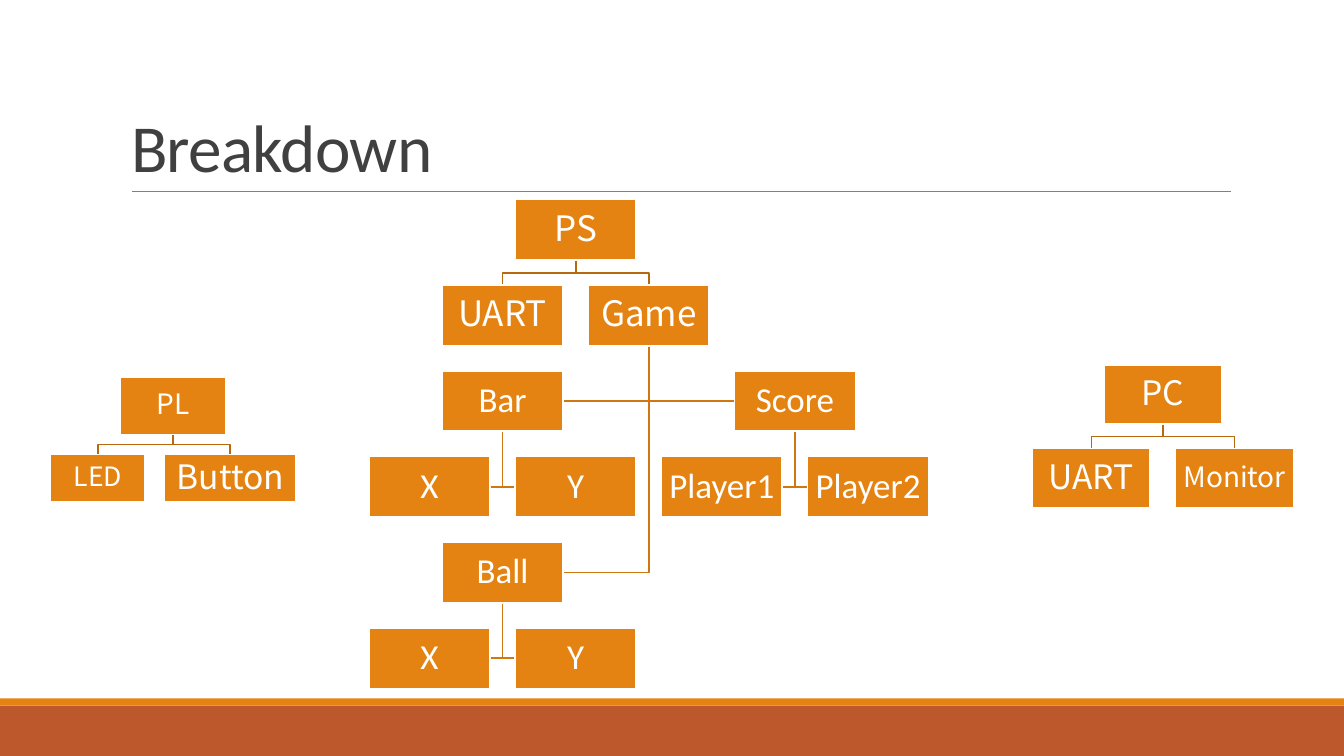
"""Build the "Breakdown" slide with its three component trees."""
import pptx
import pptx.dml.color
import pptx.enum.shapes
import pptx.enum.text
import pptx.util

Inches = pptx.util.Inches
Pt = pptx.util.Pt
RGBColor = pptx.dml.color.RGBColor

ORANGE = RGBColor(0xE4, 0x83, 0x12)
RUST = RGBColor(0xBD, 0x58, 0x2C)
WHITE = RGBColor(0xFF, 0xFF, 0xFF)
GREY = RGBColor(0x80, 0x80, 0x80)
TITLE_GREY = RGBColor(0x40, 0x40, 0x40)
BRANCH = RGBColor(0xB7, 0x69, 0x0E)
SUB_BRANCH = RGBColor(0xCF, 0x77, 0x10)

CALIBRI = "Calibri"
NOTO = "Noto Sans CJK SC"

PS_LEFT, PS_TOP = 3.66, 1.98
BOX_W, BOX_H = 1.2, 0.6
COL_STEP = (BOX_W + 0.25) / 2
ROW_STEP = BOX_H + 0.25


def add_rect(slide, box, fill):
    """Add a filled rectangle without outline or shadow."""
    sp = slide.shapes.add_shape(
        pptx.enum.shapes.MSO_SHAPE.RECTANGLE, *[Inches(v) for v in box])
    sp.shadow.inherit = False
    sp.fill.solid()
    sp.fill.fore_color.rgb = fill
    sp.line.fill.background()
    return sp


def add_rule(slide, x1, x2, y):
    """Add the thin line under the title."""
    line = slide.shapes.add_connector(
        pptx.enum.shapes.MSO_CONNECTOR.STRAIGHT,
        Inches(x1), Inches(y), Inches(x2), Inches(y))
    line.line.color.rgb = GREY
    line.line.width = Pt(0.5)
    pptx.oxml.xmlchemy.OxmlElement
    sp_pr = line._element.spPr
    sp_pr.append(pptx.oxml.xmlchemy.OxmlElement("a:effectLst"))


def set_title(slide, text):
    """Place and format the title placeholder."""
    sp = slide.shapes.title
    sp.left, sp.top = Inches(1.2), Inches(0.31)
    sp.width, sp.height = Inches(11), Inches(1.59)
    tf = sp.text_frame
    tf.text = text
    tf.auto_size = pptx.enum.text.MSO_AUTO_SIZE.NONE
    tf.vertical_anchor = pptx.enum.text.MSO_ANCHOR.BOTTOM
    p = tf.paragraphs[0]
    p.alignment = pptx.enum.text.PP_ALIGN.LEFT
    p.line_spacing = 0.85
    r = p.runs[0]
    r.font.name, r.font.size = CALIBRI, Pt(48)
    r.font.color.rgb = TITLE_GREY
    r.font._element.set("spc", "-50")


def add_node(slide, box, text, size, font):
    """Add a labelled tree box."""
    sp = add_rect(slide, box, ORANGE)
    sp.line.color.rgb = WHITE
    sp.line.width = Pt(1.25)
    tf = sp.text_frame
    tf.text = text
    tf.word_wrap = True
    tf.vertical_anchor = pptx.enum.text.MSO_ANCHOR.MIDDLE
    tf.margin_left = tf.margin_right = Inches(0.02)
    tf.margin_top = tf.margin_bottom = Inches(0.02)
    p = tf.paragraphs[0]
    p.alignment = pptx.enum.text.PP_ALIGN.CENTER
    p.line_spacing = 0.9
    r = p.runs[0]
    r.font.name, r.font.size = font, Pt(size)
    r.font.color.rgb = WHITE


def add_path(slide, points, color):
    """Add an open line through the given points."""
    start, *rest = [(Inches(x), Inches(y)) for x, y in points]
    builder = slide.shapes.build_freeform(*start)
    builder.add_line_segments(rest, close=False)
    sp = builder.convert_to_shape()
    sp.shadow.inherit = False
    sp.fill.background()
    sp.line.color.rgb = color
    sp.line.width = Pt(1.25)


def add_fork(slide, parent, child):
    """Link a parent's bottom to a child's top."""
    x1, y1 = parent[0] + parent[2] / 2, parent[1] + parent[3]
    x2, y2 = child[0] + child[2] / 2, child[1]
    mid = (y1 + y2) / 2
    add_path(slide, [(x1, y1), (x1, mid), (x2, mid), (x2, y2)], BRANCH)


def add_hook(slide, parent, child):
    """Link a parent's bottom to the near side of a child."""
    x1, y1 = parent[0] + parent[2] / 2, parent[1] + parent[3]
    x2, y2 = child[0], child[1] + child[3] / 2
    if x2 < x1:
        x2 += child[2]
    add_path(slide, [(x1, y1), (x1, y2), (x2, y2)], SUB_BRANCH)


def add_tree(slide, nodes, forks, hooks=()):
    """Draw the links of a tree, then its boxes."""
    for add_link, links in ((add_hook, hooks), (add_fork, forks)):
        for parent, child in links:
            add_link(slide, nodes[parent][0], nodes[child][0])
    for box, text, size, font in nodes:
        add_node(slide, box, text, size, font)


def ps_node(col, row, text, font=CALIBRI):
    """Return a box of the PS tree from its grid place."""
    box = (PS_LEFT + col * COL_STEP, PS_TOP + row * ROW_STEP, BOX_W, BOX_H)
    return box, text, 25, font


def main():
    """Build and save the slide."""
    prs = pptx.Presentation()
    prs.slide_width, prs.slide_height = Inches(13.33), Inches(7.5)
    slide = prs.slides.add_slide(prs.slide_layouts[5])
    add_rect(slide, (0, 7, 13.33, 0.5), RUST)
    add_rect(slide, (0, 6.93, 13.33, 0.07), ORANGE)
    add_rule(slide, 1.31, 12.21, 1.9)
    set_title(slide, "Breakdown")

    two_children = [(0, 1), (0, 2)]
    add_tree(slide, [
        ((1.19, 3.74, 1.05, 0.57), "PL", 20, NOTO),
        ((0.5, 4.51, 0.94, 0.47), "LED", 19, NOTO),
        ((1.63, 4.51, 1.31, 0.47), "Button", 24, NOTO),
    ], two_children)
    add_tree(slide, [
        ps_node(2, 0, "PS", NOTO),
        ps_node(1, 1, "UART", NOTO),
        ps_node(3, 1, "Game", NOTO),
        ps_node(1, 2, "Bar"),
        ps_node(0, 3, "X"),
        ps_node(2, 3, "Y"),
        ps_node(5, 2, "Score"),
        ps_node(4, 3, "Player1"),
        ps_node(6, 3, "Player2"),
        ps_node(1, 4, "Ball"),
        ps_node(0, 5, "X"),
        ps_node(2, 5, "Y"),
    ], two_children, [(2, 3), (2, 6), (2, 9), (3, 4), (3, 5),
                      (6, 7), (6, 8), (9, 10), (9, 11)])
    add_tree(slide, [
        ((10.95, 3.62, 1.17, 0.59), "PC", 24, NOTO),
        ((10.24, 4.45, 1.17, 0.59), "UART", 24, NOTO),
        ((11.66, 4.45, 1.17, 0.59), "Monitor", 20, NOTO),
    ], two_children)
    prs.save("out.pptx")


if __name__ == "__main__":
    main()
